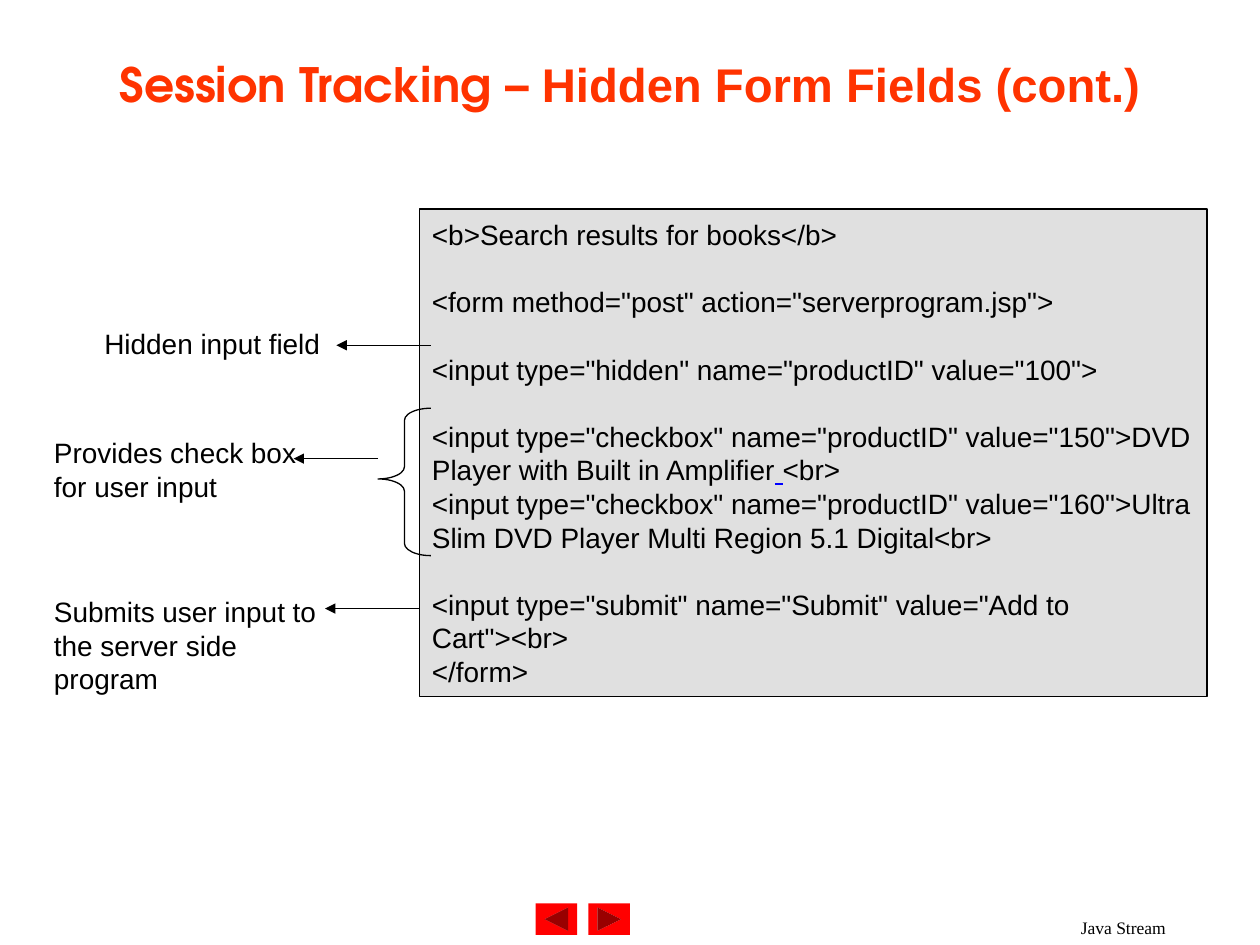
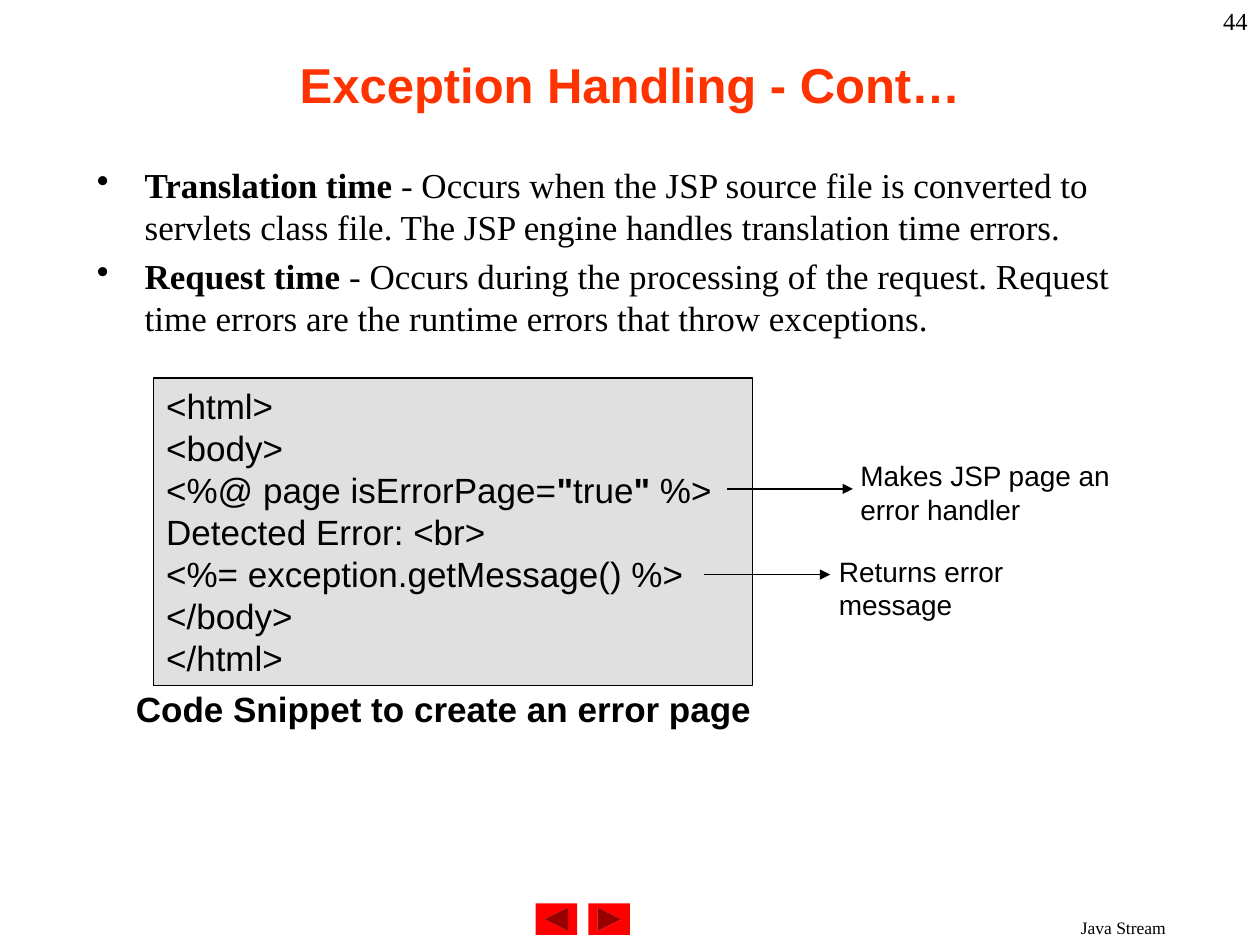
from lxml.etree import SubElement
from pptx import Presentation
from pptx.dml.color import RGBColor
from pptx.enum.shapes import MSO_CONNECTOR, MSO_SHAPE
from pptx.enum.text import MSO_ANCHOR, PP_ALIGN
from pptx.oxml.ns import qn
from pptx.util import Inches, Pt

COLORS = {"title": "FF3300", "text": "000000", "code": "E0E0E0",
          "button": "FF0000", "link": "0000FF"}
COLORS = {part: RGBColor.from_string(value) for part, value in COLORS.items()}
SANS, SERIF, DISPLAY = "Arial", "Times New Roman", "TeX Gyre Adventor"


def write(frame, paragraphs, size, font=SANS, color="text", bold=False,
          align=PP_ALIGN.LEFT, anchor=MSO_ANCHOR.TOP):
    """Fill a text frame; each paragraph is a list of run texts."""
    frame.word_wrap = True
    frame.vertical_anchor = anchor
    for index, run_texts in enumerate(paragraphs):
        paragraph = frame.paragraphs[0] if index == 0 else frame.add_paragraph()
        paragraph.alignment = align
        for run_text in run_texts:
            run = paragraph.add_run()
            run.text = run_text
            run.font.size = Pt(size)
            run.font.name = font
            run.font.bold = bold
            run.font.color.rgb = COLORS[color]
    return frame.paragraphs


def outline(shape, fill=None):
    """Give a shape a thin black line, an optional fill and no shadow."""
    shape.shadow.inherit = False
    shape.line.color.rgb = COLORS["text"]
    shape.line.width = Pt(0.75)
    if fill:
        shape.fill.solid()
        shape.fill.fore_color.rgb = COLORS[fill]
    else:
        shape.fill.background()
    return shape


prs = Presentation()
prs.slide_width, prs.slide_height = Inches(10), Inches(7.5)

# Everything that differs between the slides
slides = [
    {
        "title": ["Session Tracking – ", "Hidden Form Fields (cont.)"],
        "title_size": 27,
        "code_box": (3.33, 1.66, 6.25, 3.87),
        "code_size": 16,
        "code": [
            ["<b>Search results for books</b>"],
            ['<form method="post" action="serverprogram.jsp">'],
            ['<input type="hidden" name="productID" value="100">'],
            ['<input type="checkbox" name="productID" value="150">'
             "DVD Player with Built in Amplifier", " ", "<br>"],
            ['<input type="checkbox" name="productID" value="160">'
             "Ultra Slim DVD Player Multi Region 5.1 Digital<br>"],
            ['<input type="submit" name="Submit" value="Add to Cart"><br>'],
            ["</form>"],
        ],
        "labels": [
            ("Hidden input field", 0.73, 2.54, 2.35, 0.37),
            ("Provides check box for user input", 0.33, 3.41, 2.12, 0.64),
            ("Submits user input to the server side program", 0.33, 4.67, 2.42, 0.9),
        ],
        "arrows": [(3.42, 2.67, 2.74), (3, 2.33, 3.64), (3.33, 2.58, 4.83)],
    },
    {
        "title": ["Exception Handling - Cont…"],
        "title_size": 28,
        "code_box": (1.22, 3, 4.75, 2.44),
        "code_size": 20,
        "code": [
            ["<html>"],
            ["<body>"],
            ["<%@ page isErrorPage=", '"', "true", '"', " %>"],
            ["Detected Error: <br>"],
            ["<%= exception.getMessage() %>"],
            ["</body>"],
            ["</html>"],
        ],
        "labels": [
            ("Makes JSP page an error handler", 6.73, 3.59, 2.58, 0.64),
            ("Returns error message", 6.56, 4.35, 2.4, 0.64),
        ],
        "arrows": [(5.77, 6.77, 3.88), (5.59, 6.59, 4.56)],
    },
]

code_lines = []
titles = []
for content in slides:
    slide = prs.slides.add_slide(prs.slide_layouts[6])

    # Navigation buttons and footer
    for left, rotation in ((4.67, 0), (4.25, 180)):
        button = slide.shapes.add_shape(
            MSO_SHAPE.ACTION_BUTTON_FORWARD_OR_NEXT,
            Inches(left), Inches(7.17), Inches(0.33), Inches(0.25))
        button.rotation = rotation
        button.shadow.inherit = False
        button.fill.solid()
        button.fill.fore_color.rgb = COLORS["button"]
        button.line.fill.background()
    footer = slide.shapes.add_textbox(
        Inches(7.83), Inches(7.23), Inches(2.17), Inches(0.27))
    write(footer.text_frame, [["Java Stream"]], 10, SERIF, align=PP_ALIGN.CENTER)

    title = slide.shapes.add_textbox(
        Inches(0.75), Inches(0.08), Inches(8.5), Inches(1.17))
    titles.append(write(title.text_frame, [content["title"]], content["title_size"],
                        color="title", bold=True, align=PP_ALIGN.CENTER,
                        anchor=MSO_ANCHOR.MIDDLE)[0])

    code = outline(slide.shapes.add_shape(
        MSO_SHAPE.RECTANGLE, *map(Inches, content["code_box"])), "code")
    code_lines.append(write(code.text_frame, content["code"], content["code_size"],
                            anchor=MSO_ANCHOR.MIDDLE))

    for label_text, *place in content["labels"]:
        label = slide.shapes.add_textbox(*map(Inches, place))
        write(label.text_frame, [[label_text]], 16)

    for start, end, height in content["arrows"]:
        arrow = slide.shapes.add_connector(
            MSO_CONNECTOR.STRAIGHT,
            Inches(start), Inches(height), Inches(end), Inches(height))
        arrow.line.color.rgb = COLORS["text"]
        arrow.line.width = Pt(0.75)
        SubElement(arrow.line._get_or_add_ln(), qn("a:tailEnd"), type="triangle")
        SubElement(arrow._element.spPr, qn("a:effectLst"))

hidden_fields, exceptions = prs.slides
form_code, error_code = code_lines

# Hidden form fields: title font, gaps between form parts, brace
titles[0].runs[0].font.name = DISPLAY
for part_start in (1, 2, 3, 5):
    form_code[part_start].space_before = Pt(19.2)
link_gap = form_code[3].runs[1].font
link_gap.underline = True
link_gap.color.rgb = COLORS["link"]
brace = outline(hidden_fields.shapes.add_shape(
    MSO_SHAPE.LEFT_BRACE, Inches(3), Inches(3.24), Inches(0.42), Inches(1.17)))
brace.adjustments[0] = 0.23
brace.adjustments[1] = 0.48

# Exception handling: bold quotes, page number, error kinds, caption
for quote in (1, 3):
    error_code[2].runs[quote].font.bold = True

page_number = exceptions.shapes.add_textbox(
    Inches(7.92), Inches(0), Inches(2.08), Inches(0.5))
write(page_number.text_frame, [["44"]], 14, SERIF, align=PP_ALIGN.RIGHT)

error_kinds = exceptions.shapes.add_textbox(
    Inches(0.67), Inches(1.25), Inches(8.56), Inches(2.29))
for kind in write(error_kinds.text_frame, [
    ["Translation time", " - Occurs when the JSP source file is converted to servlets "
     "class file. The JSP engine handles translation time errors."],
    ["Request time", " - Occurs during the processing of the request. Request time "
     "errors are the runtime errors that throw exceptions."],
], 20, SERIF):
    kind.space_before = Pt(4)
    kind.runs[0].font.bold = True
    properties = kind._p.get_or_add_pPr()
    properties.set("marL", str(Inches(0.38)))
    properties.set("indent", str(-Inches(0.38)))
    SubElement(properties, qn("a:buChar"), char="•")

caption = exceptions.shapes.add_textbox(
    Inches(0.98), Inches(5.41), Inches(5.5), Inches(0.43))
write(caption.text_frame, [["Code Snippet to create an error page"]], 20, bold=True)

prs.save("out.pptx")
